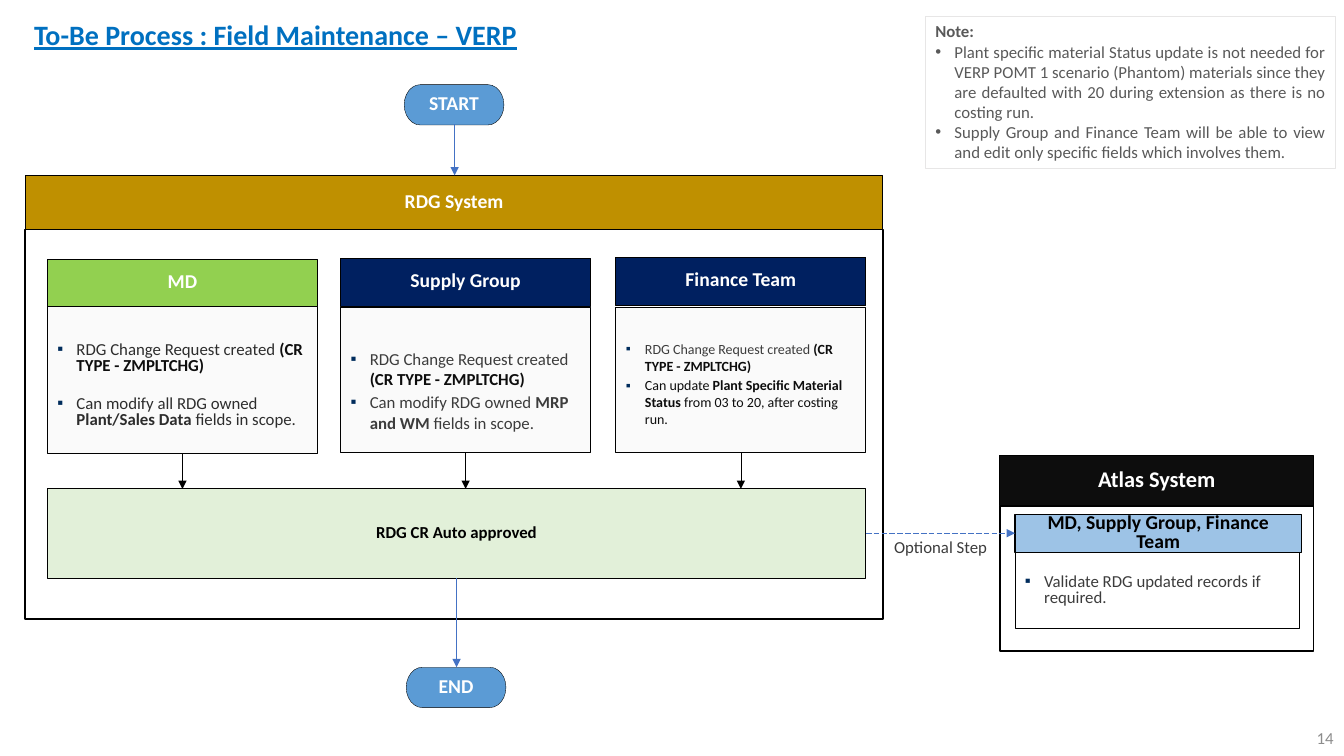
from dataclasses import dataclass
from typing import NamedTuple, Optional

from lxml import etree
from pptx import Presentation
from pptx import util as u
from pptx.dml.color import RGBColor
from pptx.enum import dml, shapes, text
from pptx.oxml import ns

COLS, ROWS = 160, 90
SLIDE_W, SLIDE_H = u.Inches(13.33), u.Inches(7.5)

WHITE = RGBColor(0xFF, 0xFF, 0xFF)
BLACK = RGBColor(0x00, 0x00, 0x00)
INK = RGBColor(0x0D, 0x0D, 0x0D)
DARK = RGBColor(0x2D, 0x2D, 0x2D)
SLATE = RGBColor(0x3C, 0x3C, 0x3C)
NOTE_GREY = RGBColor(0x59, 0x59, 0x59)
NUMBER_GREY = RGBColor(0x8C, 0x8C, 0x8C)
NOTE_EDGE = RGBColor(0xE7, 0xE6, 0xE6)
PALE = RGBColor(0xFA, 0xFA, 0xFA)
TITLE_BLUE = RGBColor(0x00, 0x70, 0xC0)
ARROW_BLUE = RGBColor(0x44, 0x72, 0xC4)
PILL_BLUE = RGBColor(0x5B, 0x9B, 0xD5)
LIGHT_BLUE = RGBColor(0x9D, 0xC3, 0xE6)
NAVY = RGBColor(0x00, 0x20, 0x60)
GOLD = RGBColor(0xBF, 0x90, 0x00)
GREEN = RGBColor(0x92, 0xD0, 0x50)
PALE_GREEN = RGBColor(0xE2, 0xF0, 0xD9)

RECT = shapes.MSO_SHAPE.RECTANGLE
PILL = shapes.MSO_SHAPE.FLOWCHART_TERMINATOR
LEFT, CENTER = text.PP_ALIGN.LEFT, text.PP_ALIGN.CENTER
RIGHT, JUSTIFY = text.PP_ALIGN.RIGHT, text.PP_ALIGN.JUSTIFY
TOP, MIDDLE = text.MSO_ANCHOR.TOP, text.MSO_ANCHOR.MIDDLE
BOTTOM = text.MSO_ANCHOR.BOTTOM


class Area(NamedTuple):
    """Place on the grid, in columns and rows."""
    x: float
    y: float
    w: float
    h: float


class Run(NamedTuple):
    text: str
    color: RGBColor
    bold: bool = False
    underline: bool = False


@dataclass
class Para:
    runs: list[Run]
    align: text.PP_ALIGN = LEFT
    spacing: float = 1.0
    after: float = 0
    bullet: str = ""
    bullet_color: Optional[str] = None


@dataclass
class Team:
    name: str
    color: RGBColor
    head: Area
    body: Area
    size: float
    foot: float  # rows kept free under the text
    paras: list[Para]


def col(n: float) -> int:
    return round(SLIDE_W * n / COLS)


def row(n: float) -> int:
    return round(SLIDE_H * n / ROWS)


def label(words: str, color: RGBColor = WHITE) -> list[Para]:
    return [Para([Run(words, color, True)], CENTER, 0.8)]


def square(*runs: Run, spacing: float = 1.0, after: float = 2) -> Para:
    return Para(list(runs), LEFT, spacing, after, "▪", "002C5C")


def dot(words: str) -> Para:
    return Para([Run(words, NOTE_GREY)], JUSTIFY, bullet="•")


def add_bullet(p, para: Para) -> None:
    pPr = p._p.get_or_add_pPr()
    pPr.set("marL", str(u.Inches(0.19)))
    pPr.set("indent", str(-u.Inches(0.19)))
    if para.bullet_color:
        clr = etree.SubElement(pPr, ns.qn("a:buClr"))
        etree.SubElement(clr, ns.qn("a:srgbClr"), val=para.bullet_color)
    etree.SubElement(pPr, ns.qn("a:buFont"), typeface="Arial")
    etree.SubElement(pPr, ns.qn("a:buChar"), char=para.bullet)


def write(sp, paras: list[Para], size: float, anchor: text.MSO_ANCHOR) -> None:
    tf = sp.text_frame
    tf.word_wrap = True
    tf.vertical_anchor = anchor
    for i, para in enumerate(paras):
        p = tf.add_paragraph() if i else tf.paragraphs[0]
        if para.bullet:
            add_bullet(p, para)
        p.alignment = para.align
        p.line_spacing = para.spacing
        p.space_after = u.Pt(para.after)
        for part in para.runs:
            r = p.add_run()
            r.text = part.text
            r.font.name = "Calibri"
            r.font.size = u.Pt(size)
            r.font.bold = part.bold
            r.font.underline = part.underline
            r.font.color.rgb = part.color


def add_text(s, area: Area, para: Para, size: float) -> None:
    sp = s.shapes.add_textbox(col(area.x), row(area.y), col(area.w), row(area.h))
    write(sp, [para], size, MIDDLE)


def add_box(s, area: Area, fill: Optional[RGBColor] = None, paras: Optional[list[Para]] = None,
            size: float = 12, anchor: text.MSO_ANCHOR = MIDDLE, line: RGBColor = BLACK,
            weight: float = 0.75, kind: shapes.MSO_SHAPE = RECT):
    sp = s.shapes.add_shape(kind, col(area.x), row(area.y), col(area.w), row(area.h))
    sp.shadow.inherit = False
    if fill is None:
        sp.fill.background()
    else:
        sp.fill.solid()
        sp.fill.fore_color.rgb = fill
    sp.line.color.rgb = line
    sp.line.width = u.Pt(weight)
    if paras:
        write(sp, paras, size, anchor)
    return sp


def add_arrow(s, x1: float, y1: float, x2: float, y2: float, color: RGBColor,
              dashed: bool = False) -> None:
    cx = s.shapes.add_connector(shapes.MSO_CONNECTOR.STRAIGHT, col(x1), row(y1), col(x2), row(y2))
    cx.line.color.rgb = color
    cx.line.width = u.Pt(0.5)
    if dashed:
        cx.line.dash_style = dml.MSO_LINE.LONG_DASH
    etree.SubElement(cx.line._get_or_add_ln(), ns.qn("a:tailEnd"), type="triangle")
    etree.SubElement(cx._element.spPr, ns.qn("a:effectLst"))


CREATED = "RDG Change Request created "
CR_TYPE = Run("(CR TYPE - ZMPLTCHG)", INK, True)
APPROVED = Area(5.64, 58.2, 97.44, 10.68)
TEAMS = [
    Team("MD", GREEN, Area(5.64, 30.84, 32.16, 5.64), Area(5.64, 36.48, 32.16, 17.5), 12, 2.9, [
        square(Run(CREATED, DARK), CR_TYPE, spacing=0.8, after=15.7),
        square(Run("Can modify all RDG owned ", DARK), Run("Plant/Sales Data", DARK, True),
               Run(" fields in scope.", DARK), spacing=0.8)]),
    Team("Supply Group", NAVY, Area(40.56, 30.72, 29.76, 5.76), Area(40.56, 36.6, 29.76, 17.28), 12, 2.4, [
        square(Run(CREATED, SLATE), CR_TYPE),
        square(Run("Can modify RDG owned ", SLATE), Run("MRP and WM ", SLATE, True),
               Run("fields in scope.", SLATE))]),
    Team("Finance Team", NAVY, Area(73.32, 30.6, 29.76, 5.76), Area(73.32, 36.6, 29.76, 17.28), 10, 3, [
        square(Run(CREATED, SLATE), CR_TYPE),
        square(Run("Can update ", INK), Run("Plant Specific Material Status ", INK, True),
               Run("from 03 to 20, after costing run.", INK))]),
]
NOTE = [
    Para([Run("Note:", NOTE_GREY, True)], JUSTIFY),
    dot("Plant specific material Status update is not needed for VERP POMT 1 scenario (Phantom) "
        "materials since they are defaulted with 20 during extension as there is no costing run."),
    dot("Supply Group and Finance Team will be able to view and edit only specific fields "
        "which involves them."),
]


def add_team(s, team: Team) -> None:
    body = team.body
    add_box(s, team.head, team.color, label(team.name), 14)
    sp = add_box(s, body, PALE, team.paras, team.size, BOTTOM)
    sp.text_frame.margin_bottom = row(team.foot)
    center = body.x + body.w / 2
    add_arrow(s, center, body.y + body.h, center, APPROVED.y, BLACK)


def add_rdg_system(s) -> None:
    add_box(s, Area(3, 20.88, 102.12, 6.42), GOLD, label("RDG System"), 14)
    add_box(s, Area(3, 27.36, 102.12, 46.32), weight=1)
    add_box(s, APPROVED, PALE_GREEN, label("RDG CR Auto approved", BLACK))
    for team in TEAMS:
        add_team(s, team)


def add_atlas_system(s) -> None:
    add_box(s, Area(119.04, 54.24, 37.32, 5.94), INK, label("Atlas System"), 16)
    add_box(s, Area(119.04, 60.24, 37.32, 17.28), weight=1)
    add_box(s, Area(120.84, 61.2, 34.1, 4.56), LIGHT_BLUE,
            label("MD, Supply Group, Finance Team", BLACK), 14)
    add_box(s, Area(120.84, 65.76, 33.84, 9.12), WHITE,
            [square(Run("Validate RDG updated records if required.", SLATE), spacing=0.8)])


def add_flow_ends(s) -> None:
    for words, x, y in (("START", 48.12, 10.08), ("END", 48.36, 79.44)):
        add_box(s, Area(x, y, 11.88, 4.8), PILL_BLUE, label(words), 14, weight=0.25, kind=PILL)
    add_arrow(s, 54.12, 14.8, 54.12, 20.88, ARROW_BLUE)
    add_arrow(s, 54.36, 68.8, 54.36, 79.44, ARROW_BLUE)


def add_optional_step(s) -> None:
    add_arrow(s, 103.08, 63.48, 120.84, 63.48, ARROW_BLUE, dashed=True)
    sp = add_box(s, Area(106.44, 64.32, 11.64, 2.88), line=WHITE, anchor=TOP,
                 paras=[Para([Run("Optional Step", SLATE)], spacing=0.83)])
    tf = sp.text_frame
    tf.margin_left = tf.margin_top = tf.margin_right = tf.margin_bottom = 0


def main() -> None:
    prs = Presentation()
    prs.slide_width, prs.slide_height = SLIDE_W, SLIDE_H
    s = prs.slides.add_slide(prs.slide_layouts[6])
    title = Run("To-Be Process : Field Maintenance – VERP", TITLE_BLUE, True, True)
    add_text(s, Area(2.88, 2.28, 153.24, 4.08), Para([title], spacing=0.9), 20)
    add_text(s, Area(123.96, 85.44, 36, 4.8), Para([Run("14", NUMBER_GREY)], RIGHT), 12)
    add_box(s, Area(110.16, 1.92, 48.84, 18.12), None, NOTE, 12, TOP, NOTE_EDGE)
    add_rdg_system(s)
    add_atlas_system(s)
    add_flow_ends(s)
    add_optional_step(s)
    prs.save("out.pptx")


if __name__ == "__main__":
    main()
